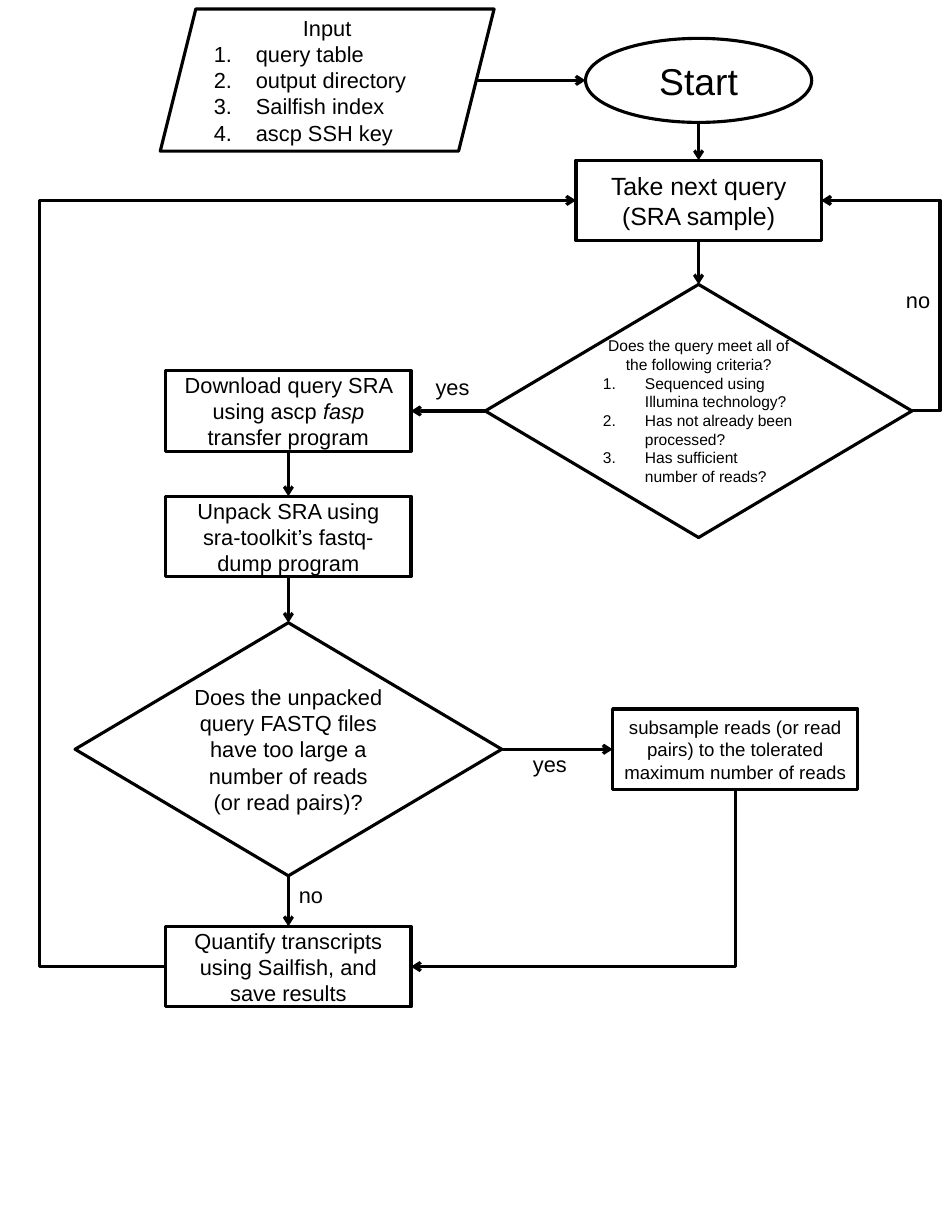
from lxml import etree
from pptx import Presentation
from pptx.dml.color import RGBColor
from pptx.enum.shapes import MSO_CONNECTOR, MSO_SHAPE
from pptx.enum.text import MSO_ANCHOR, MSO_AUTO_SIZE, PP_ALIGN
from pptx.oxml.ns import qn
from pptx.util import Pt

BLACK = RGBColor(0, 0, 0)
FONT = "Arial"
LINE_WIDTH = Pt(2)
INDENT = Pt(27)
STRAIGHT, ELBOW = MSO_CONNECTOR.STRAIGHT, MSO_CONNECTOR.ELBOW
CENTER, LEFT = PP_ALIGN.CENTER, PP_ALIGN.LEFT
MIDDLE = MSO_ANCHOR.MIDDLE
FIT_SHAPE = MSO_AUTO_SIZE.SHAPE_TO_FIT_TEXT
RECTANGLE, DIAMOND = MSO_SHAPE.RECTANGLE, MSO_SHAPE.DIAMOND
OVAL, PARALLELOGRAM = MSO_SHAPE.OVAL, MSO_SHAPE.PARALLELOGRAM
TOP_SIDE, LEFT_SIDE, BOTTOM_SIDE, RIGHT_SIDE = range(4)

# Column centres and sizes, in points
LEFT_COLUMN, RIGHT_COLUMN, SUBSAMPLE_COLUMN = 185.4, 449.1, 472.7
BOX_SIZE = (157.7, 51.8)
DIAMOND_SIZE = (274.3, 162.7)
START_SIZE = (145.4, 54)
START_Y = 51.7

deck = Presentation()
deck.slide_width, deck.slide_height = Pt(612), Pt(792)
page = deck.slides.add_slide(deck.slide_layouts[6])


def write(para, text, size, align):
    """Fill a paragraph; words between asterisks are italic."""
    para.alignment = align
    for number, piece in enumerate(text.split("*")):
        span = para.add_run()
        span.text = piece
        font_format = {"name": FONT, "size": Pt(size)}
        if number % 2:
            font_format["italic"] = True
        for name, value in font_format.items():
            setattr(span.font, name, value)
        span.font.color.rgb = BLACK


def connect(kind, begin, end, arrow_end="tailEnd"):
    """Draw an arrow; each end is a (step, side) pair or an (x, y) point."""
    points = [(0, 0) if isinstance(place[0], str) else place for place in (begin, end)]
    arrow = page.shapes.add_connector(
        kind, *[Pt(value) for point in points for value in point])
    for place, join in ((begin, arrow.begin_connect), (end, arrow.end_connect)):
        if isinstance(place[0], str):
            join(steps[place[0]], place[1])
    arrow.line.color.rgb = BLACK
    arrow.line.width = LINE_WIDTH
    etree.SubElement(arrow.line._get_or_add_ln(), qn("a:" + arrow_end), type="arrow")
    etree.SubElement(arrow._element.spPr, qn("a:effectLst"))
    return arrow


# Steps: name, shape, centre x, centre y, size, font size, text, numbered list
step_rows = [
    ("input", PARALLELOGRAM, 210.3, 51.5, (214.6, 91.4), 14, "Input",
     ["query table", "output directory", "Sailfish index", "ascp SSH key"]),
    ("start", OVAL, RIGHT_COLUMN, START_Y, START_SIZE, 24, "Start", []),
    ("next", RECTANGLE, RIGHT_COLUMN, 128.9, BOX_SIZE, 16,
     "Take next query (SRA sample)", []),
    ("criteria", DIAMOND, RIGHT_COLUMN, 264.2, DIAMOND_SIZE, 10,
     "Does the query meet all of the following criteria?",
     ["Sequenced using Illumina technology?", "Has not already been processed?",
      "Has sufficient number of reads?"]),
    ("download", RECTANGLE, LEFT_COLUMN, 264.2, BOX_SIZE, 14,
     "Download query SRA using ascp *fasp* transfer program", []),
    ("unpack", RECTANGLE, LEFT_COLUMN, 344.9, BOX_SIZE, 14,
     "Unpack SRA using sra-toolkit’s fastq-dump program", []),
    ("too large", DIAMOND, LEFT_COLUMN, 481.7, DIAMOND_SIZE, 14,
     "Does the unpacked query FASTQ files have too large a number of reads "
     "(or read pairs)?", []),
    ("subsample", RECTANGLE, SUBSAMPLE_COLUMN, 481.7, BOX_SIZE, 12,
     "subsample reads (or read pairs) to the tolerated maximum number of reads", []),
    ("quantify", RECTANGLE, LEFT_COLUMN, 621.4, BOX_SIZE, 14,
     "Quantify transcripts using Sailfish, and save results", []),
]
steps = {}
for name, kind, x, y, (width, height), size, text, items in step_rows:
    box = page.shapes.add_shape(
        kind, Pt(x - width / 2), Pt(y - height / 2), Pt(width), Pt(height))
    box.shadow.inherit = False
    box.fill.background()
    box.line.color.rgb = BLACK
    box.line.width = LINE_WIDTH
    frame = box.text_frame
    frame.word_wrap = True
    frame.vertical_anchor = MIDDLE
    write(frame.paragraphs[0], text, size, CENTER)
    for item in items:
        para = frame.add_paragraph()
        write(para, item, size, LEFT)
        properties = para._p.get_or_add_pPr()
        properties.set("marL", str(INDENT))
        properties.set("indent", str(-INDENT))
        etree.SubElement(properties, qn("a:buFont"), typeface=FONT)
        etree.SubElement(properties, qn("a:buAutoNum"), type="arabicPeriod")
    steps[name] = box

# Straight arrows
straight_rows = [
    ((306, START_Y), (RIGHT_COLUMN - START_SIZE[0] / 2, START_Y)),
    ((RIGHT_COLUMN, START_Y + START_SIZE[1] / 2), ("next", TOP_SIDE)),
    (("next", BOTTOM_SIDE), ("criteria", TOP_SIDE)),
    (("criteria", LEFT_SIDE), ("download", RIGHT_SIDE)),
    (("download", BOTTOM_SIDE), ("unpack", TOP_SIDE)),
    (("unpack", BOTTOM_SIDE), ("too large", TOP_SIDE)),
    (("too large", BOTTOM_SIDE), ("quantify", TOP_SIDE)),
    (("too large", RIGHT_SIDE), ("subsample", LEFT_SIDE)),
]
for begin, end in straight_rows:
    connect(STRAIGHT, begin, end)

# Loops back to the next query, bent outside the steps
loop_rows = [
    (("criteria", RIGHT_SIDE), ("next", RIGHT_SIDE), -31000),
    (("quantify", LEFT_SIDE), ("next", LEFT_SIDE), -30800),
]
for begin, end, bend in loop_rows:
    loop = connect(ELBOW, begin, end)
    adjustments = loop._element.spPr.find(qn("a:prstGeom")).find(qn("a:avLst"))
    etree.SubElement(adjustments, qn("a:gd"), name="adj1", fmla=f"val {bend}")

# Single bend from subsampling to quantifying, with its arrowhead at the start
corner = connect(ELBOW, ("quantify", RIGHT_SIDE), ("subsample", BOTTOM_SIDE), "headEnd")
corner._element.spPr.find(qn("a:prstGeom")).set("prst", "bentConnector2")

# Branch labels
label_rows = [
    ("no", 575.3, 180.7, 30.2),
    ("yes", 272.9, 236.9, 37.4),
    ("yes", 335.5, 478.8, 37.4),
    ("no", 185, 563, 30.2),
]
for text, x, y, width in label_rows:
    label = page.shapes.add_textbox(Pt(x), Pt(y), Pt(width), Pt(24.5))
    for name, value in {"word_wrap": False, "auto_size": FIT_SHAPE}.items():
        setattr(label.text_frame, name, value)
    write(label.text_frame.paragraphs[0], text, 14, LEFT)

deck.save("out.pptx")
